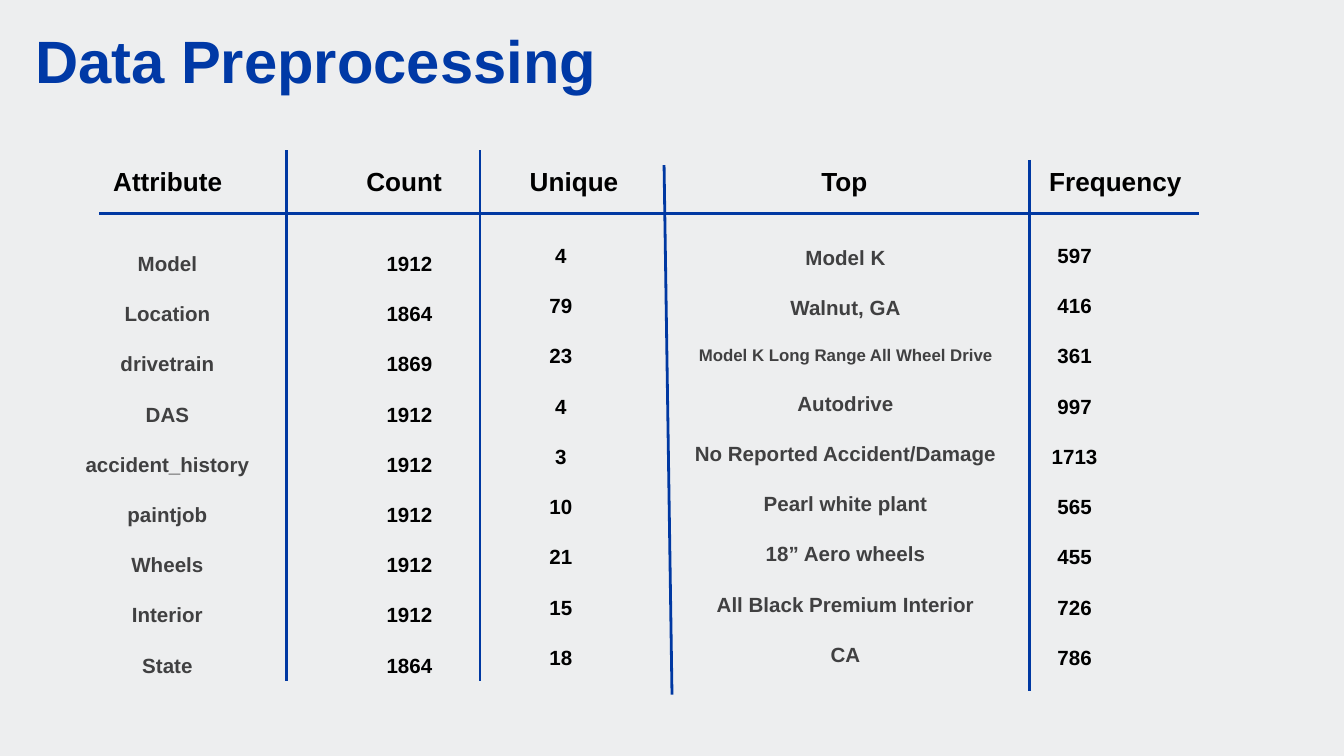
from lxml import etree
from pptx import Presentation
from pptx import util as u
from pptx.dml.color import RGBColor
from pptx.enum import shapes, text
from pptx.oxml import ns

COLORS = {
    "background": "EDEEEF",
    "title": "0039A6",
    "rule": "0038A2",
    "label": "404041",
    "number": "000000",
}
FONT = "Arial"
ROW_GAP = 13.7
BOX_HEIGHT = 8.26

HEADINGS = {
    "Attribute": 2.26,
    "Count": 6.73,
    "Unique": 9.94,
    "Top": 15.05,
    "Frequency": 20.17,
}

RULES = [
    (1.88, 4.04, 22.66, 4.04),
    (5.41, 2.84, 5.41, 12.88),
    (9.07, 2.84, 9.07, 12.88),
    (12.55, 3.12, 12.7, 13.13),
    (19.46, 3.02, 19.46, 13.06),
]

LONG_VALUE = "Model K Long Range All Wheel Drive"
COLUMNS = [
    (0.89, 4.62, 4.55, "label",
     ["Model", "Location", "drivetrain", "DAS", "accident_history",
      "paintjob", "Wheels", "Interior", "State"]),
    (5.77, 4.62, 3.94, "number",
     [1912, 1864, 1869, 1912, 1912, 1912, 1912, 1912, 1864]),
    (9.37, 4.47, 2.46, "number", [4, 79, 23, 4, 3, 10, 21, 15, 18]),
    (12.73, 4.5, 6.5, "label",
     ["Model K", "Walnut, GA", LONG_VALUE, "Autodrive",
      "No Reported Accident/Damage", "Pearl white plant",
      "18” Aero wheels", "All Black Premium Interior", "CA"]),
    (19.08, 4.47, 2.46, "number",
     [597, 416, 361, 997, 1713, 565, 455, 726, 786]),
]


def color(name):
    return RGBColor.from_string(COLORS[name])


def format_runs(para, size, color_name):
    for span in para.runs:
        span.font.name = FONT
        span.font.size = u.Pt(size)
        span.font.bold = True
        span.font.color.rgb = color(color_name)


def add_title(page, title):
    box = page.shapes.title
    box.left, box.top = u.Cm(0.41), u.Cm(0.33)
    box.width, box.height = u.Cm(12.01), u.Cm(1.63)
    frame = box.text_frame
    frame.text = title
    frame.vertical_anchor = text.MSO_ANCHOR.TOP
    frame.auto_size = text.MSO_AUTO_SIZE.NONE
    para = frame.paragraphs[0]
    para.alignment = text.PP_ALIGN.LEFT
    format_runs(para, 32, "title")


def add_text(page, left, top, width, height, content):
    box = page.shapes.add_textbox(
        u.Cm(left), u.Cm(top), u.Cm(width), u.Cm(height))
    frame = box.text_frame
    frame.word_wrap = True
    frame.text = content
    return frame


def add_headings(page):
    content = "".join("\t" + heading for heading in HEADINGS)
    frame = add_text(page, 0.66, 2.39, 23.85, 1.45, content)
    frame.vertical_anchor = text.MSO_ANCHOR.BOTTOM
    para = frame.paragraphs[0]
    properties = para._p.get_or_add_pPr()
    tabs = etree.SubElement(properties, ns.qn("a:tabLst"))
    for position in HEADINGS.values():
        etree.SubElement(tabs, ns.qn("a:tab"),
                         pos=str(int(u.Cm(position))), algn="ctr")
    format_runs(para, 14, "number")


def add_rule(page, ends):
    line = page.shapes.add_connector(
        shapes.MSO_CONNECTOR.STRAIGHT, *[u.Cm(value) for value in ends])
    line.line.color.rgb = color("rule")
    line.line.width = u.Pt(1.5)
    etree.SubElement(line._element.spPr, ns.qn("a:effectLst"))


def add_column(page, left, top, width, color_name, values):
    content = "\n".join(str(value) for value in values)
    frame = add_text(page, left, top, width, BOX_HEIGHT, content)
    for index, para in enumerate(frame.paragraphs):
        para.alignment = text.PP_ALIGN.CENTER
        if index:
            para.space_before = u.Pt(ROW_GAP)
        size = 9 if para.text == LONG_VALUE else 11
        format_runs(para, size, color_name)


def main():
    deck = Presentation()
    deck.slide_width, deck.slide_height = u.Cm(25.4), u.Cm(14.29)
    page = deck.slides.add_slide(deck.slide_layouts.get_by_name("Title Only"))
    page.background.fill.solid()
    page.background.fill.fore_color.rgb = color("background")

    add_title(page, "Data Preprocessing")
    add_headings(page)
    for ends in RULES:
        add_rule(page, ends)
    for column in COLUMNS:
        add_column(page, *column)
    deck.save("out.pptx")


if __name__ == "__main__":
    main()
